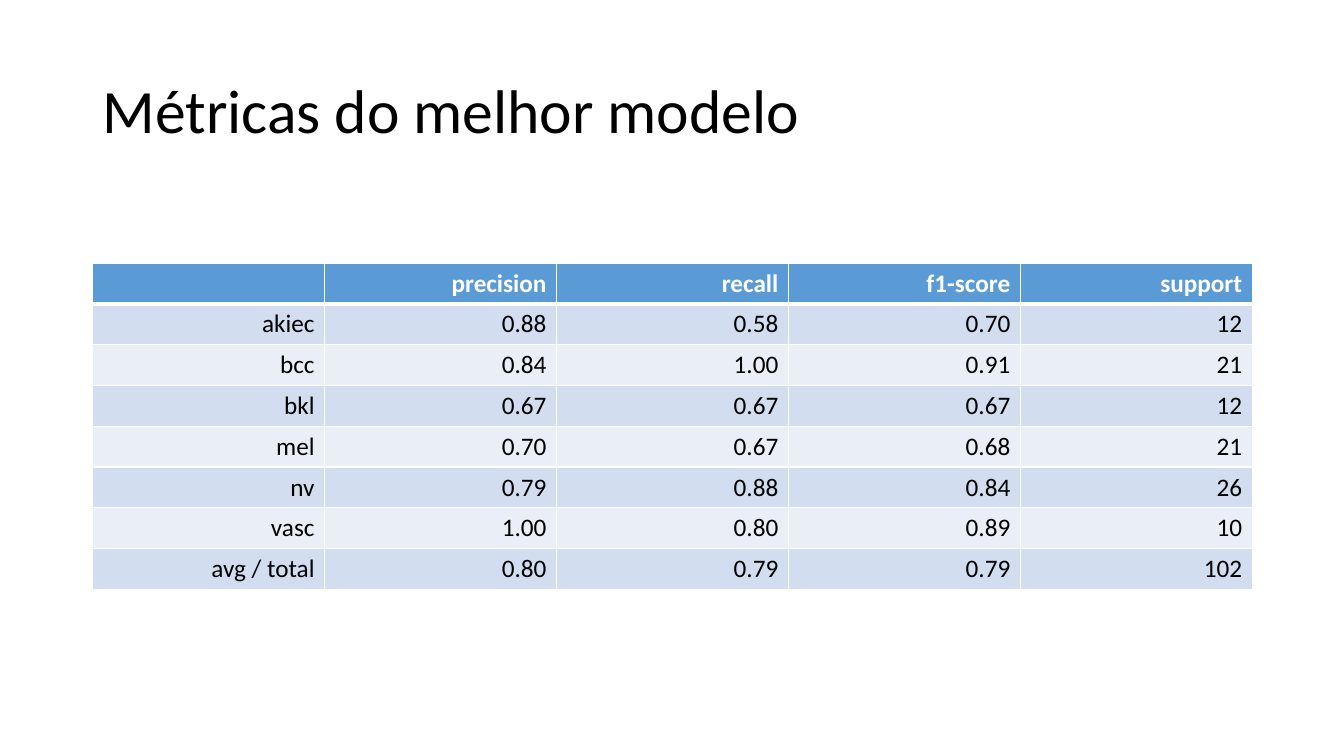
from lxml import etree
from pptx import Presentation
from pptx.dml.color import RGBColor
from pptx.enum.text import MSO_ANCHOR, PP_ALIGN
from pptx.oxml.ns import qn
from pptx.util import Inches, Pt

MIDDLE = MSO_ANCHOR.MIDDLE
RIGHT = PP_ALIGN.RIGHT

BLACK = RGBColor(0x00, 0x00, 0x00)
WHITE = RGBColor(0xFF, 0xFF, 0xFF)
BLUE = RGBColor(0x5B, 0x9B, 0xD5)
BANDS = (RGBColor(0xEA, 0xEF, 0xF7), RGBColor(0xD2, 0xDE, 0xEF))

FONT = "Calibri"
LEFT, WIDTH = Inches(0.92), Inches(11.5)

METRICS = [
    ("", "precision", "recall", "f1-score", "support"),
    ("akiec", "0.88", "0.58", "0.70", "12"),
    ("bcc", "0.84", "1.00", "0.91", "21"),
    ("bkl", "0.67", "0.67", "0.67", "12"),
    ("mel", "0.70", "0.67", "0.68", "21"),
    ("nv", "0.79", "0.88", "0.84", "26"),
    ("vasc", "1.00", "0.80", "0.89", "10"),
    ("avg / total", "0.80", "0.79", "0.79", "102"),
]


def style_runs(para, size, color, bold=False):
    for run in para.runs:
        run.font.name = FONT
        run.font.size = Pt(size)
        run.font.bold = bold
        run.font.color.rgb = color


def add_title(slide, text):
    box = slide.shapes.add_textbox(LEFT, Inches(0.4), WIDTH, Inches(1.45))
    frame = box.text_frame
    frame.word_wrap = True
    frame.vertical_anchor = MIDDLE
    frame.text = text
    para = frame.paragraphs[0]
    para.line_spacing = 0.9
    style_runs(para, 44, BLACK)


def add_borders(cell, top, bottom):
    """Draw white cell borders; top and bottom are widths in points."""
    props = cell._tc.get_or_add_tcPr()
    for side, width in (("L", 1), ("R", 1), ("T", top), ("B", bottom)):
        line = etree.SubElement(props, qn(f"a:ln{side}"), w=str(Pt(width)))
        fill = etree.SubElement(line, qn("a:solidFill"))
        etree.SubElement(fill, qn("a:srgbClr"), val=str(WHITE))


def fill_cell(cell, text, row):
    head = row == 0
    add_borders(cell, 3 if row == 1 else 1, 3 if head else 1)
    cell.fill.solid()
    cell.fill.fore_color.rgb = BLUE if head else BANDS[row % 2]
    cell.text_frame.text = text
    para = cell.text_frame.paragraphs[0]
    para.alignment = RIGHT
    style_runs(para, 18, WHITE if head else BLACK, head)


def add_metrics(slide, rows):
    frame = slide.shapes.add_table(
        len(rows), len(rows[0]), LEFT, Inches(2.61), WIDTH, Inches(3.24))
    table = frame.table
    for row, values in enumerate(rows):
        for col, text in enumerate(values):
            fill_cell(table.cell(row, col), text, row)


def main():
    deck = Presentation()
    deck.slide_width = Inches(13.33)
    deck.slide_height = Inches(7.5)
    slide = deck.slides.add_slide(deck.slide_layouts[6])
    add_title(slide, "Métricas do melhor modelo")
    add_metrics(slide, METRICS)
    deck.save("out.pptx")


if __name__ == "__main__":
    main()
